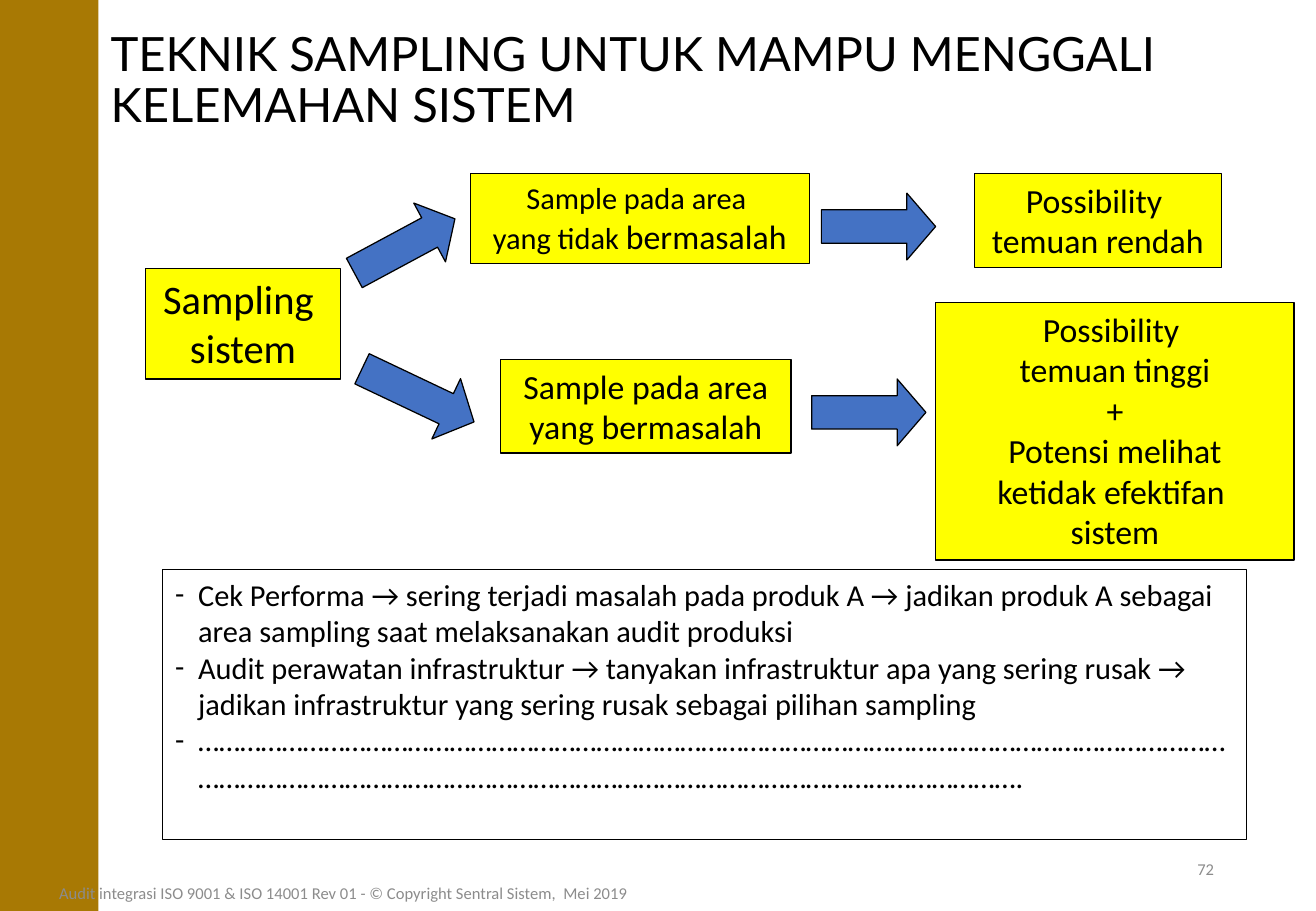
from pptx import Presentation
from pptx.dml.color import RGBColor
from pptx.enum.shapes import MSO_SHAPE as SHAPE
from pptx.enum.text import MSO_ANCHOR as ANCHOR, MSO_AUTO_SIZE as AUTO_SIZE, PP_ALIGN as ALIGN
from pptx.oxml.ns import qn
from pptx.util import Inches, Pt
from lxml import etree

COLORS = {"text": "000000", "box": "FFFF00", "arrow": "4472C4",
          "bar": "A87904", "footer": "8C8C8C"}


def color(name):
    return RGBColor.from_string(COLORS[name])


def format_text(frame, size, align, font="Calibri", fill="text"):
    for paragraph in frame.paragraphs:
        paragraph.alignment = align
        for run in paragraph.runs:
            run.font.name = font
            run.font.size = Pt(size)
            run.font.color.rgb = color(fill)


prs = Presentation()
prs.slide_width, prs.slide_height = Inches(10.83), Inches(7.5)
slide = prs.slides.add_slide(prs.slide_layouts[1])
shapes = slide.shapes

# Title
title = shapes.title
title.left, title.top, title.width, title.height = map(Inches, (0.81, 0.05, 9.75, 1.25))
title.text_frame.text = "TEKNIK SAMPLING UNTUK MAMPU MENGGALI KELEMAHAN SISTEM"
title.text_frame.auto_size = AUTO_SIZE.NONE
title.text_frame.vertical_anchor = ANCHOR.MIDDLE
title.text_frame.paragraphs[0].line_spacing = 0.9
format_text(title.text_frame, 28, ALIGN.LEFT, font="Lato")

# Yellow boxes: position, text size, wrap, lines
flow_boxes = [
    ((1.2, 2.21, 1.6, 0.91), 24, False, "Sampling \nsistem"),
    ((3.87, 1.43, 2.79, 0.74), 18, False, "Sample pada area \nyang tidak "),
    ((4.12, 2.96, 2.39, 0.77), 20, False, "Sample pada area\nyang bermasalah"),
    ((8.02, 1.43, 2.03, 0.77), 20, False, "Possibility \ntemuan rendah"),
    ((7.7, 2.49, 2.95, 2.12), 20, True,
     "Possibility \ntemuan tinggi\n+\nPotensi melihat\nketidak efektifan \nsistem"),
]
frames = []
for position, size, wrap, lines in flow_boxes:
    box = shapes.add_shape(SHAPE.RECTANGLE, *map(Inches, position))
    box.shadow.inherit = False
    box.fill.solid()
    box.fill.fore_color.rgb = color("box")
    box.line.color.rgb = color("text")
    box.line.width = Pt(0.75)
    frame = box.text_frame
    frame.text = lines
    frame.word_wrap = wrap
    frame.vertical_anchor = ANCHOR.TOP
    format_text(frame, size, ALIGN.CENTER)
    frames.append(frame)

trouble_free = frames[1].paragraphs[1].add_run()
trouble_free.text = "bermasalah"
trouble_free.font.name = "Calibri"
trouble_free.font.size = Pt(20)
trouble_free.font.color.rgb = color("text")

# Block arrows: left, top, width, rotation, head length
for left, top, width, rotation, head in [
    (6.68, 3.12, 0.94, 0, 0.43),
    (6.76, 1.59, 0.94, 0, 0.43),
    (2.86, 1.75, 0.94, 331.7, 0.43),
    (2.93, 2.98, 1.02, 25.4, 0.46),
]:
    arrow = shapes.add_shape(SHAPE.RIGHT_ARROW, *map(Inches, (left, top, width, 0.55)))
    arrow.shadow.inherit = False
    arrow.adjustments[1] = head
    arrow.rotation = rotation
    arrow.fill.solid()
    arrow.fill.fore_color.rgb = color("arrow")
    arrow.line.color.rgb = color("text")
    arrow.line.width = Pt(0.75)

# Examples
examples = slide.placeholders[1]
examples.left, examples.top, examples.width, examples.height = map(
    Inches, (1.34, 4.69, 8.92, 2.22))
examples.line.color.rgb = color("text")
examples.line.width = Pt(0.75)
frame = examples.text_frame
frame.text = "\n".join([
    "Cek Performa → sering terjadi masalah pada produk A → jadikan produk A sebagai "
    "area sampling saat melaksanakan audit produksi",
    "Audit perawatan infrastruktur → tanyakan infrastruktur apa yang sering rusak → "
    "jadikan infrastruktur yang sering rusak sebagai pilihan sampling",
    "…" * 88 + ".",
])
frame.auto_size = AUTO_SIZE.NONE
frame.vertical_anchor = ANCHOR.TOP
for paragraph in frame.paragraphs:
    properties = paragraph._p.get_or_add_pPr()
    properties.set("marL", str(Inches(0.19)))
    properties.set("indent", str(-Inches(0.19)))
    etree.SubElement(properties, qn("a:buFont")).set("typeface", "Calibri")
    etree.SubElement(properties, qn("a:buChar")).set("char", "-")
    paragraph.space_before = Pt(0)
    paragraph.line_spacing = 1.0
format_text(frame, 18, ALIGN.LEFT)

# Side bar
bar = shapes.add_shape(SHAPE.RECTANGLE, 0, 0, Inches(0.81), prs.slide_height)
bar.shadow.inherit = False
bar.fill.solid()
bar.fill.fore_color.rgb = color("bar")
bar.line.fill.background()

# Footer and page number
for position, align, text in [
    ((-0.49, 7.15, 6.63, 0.4), ALIGN.CENTER,
     "Audit integrasi ISO 9001 & ISO 14001 Rev 01 - © Copyright Sentral Sistem,  Mei 2019"),
    ((7.65, 6.95, 2.44, 0.4), ALIGN.RIGHT, "72"),
]:
    frame = shapes.add_textbox(*map(Inches, position)).text_frame
    frame.text = text
    frame.word_wrap = True
    frame.vertical_anchor = ANCHOR.MIDDLE
    format_text(frame, 9.8, align, fill="footer")

prs.save("out.pptx")
